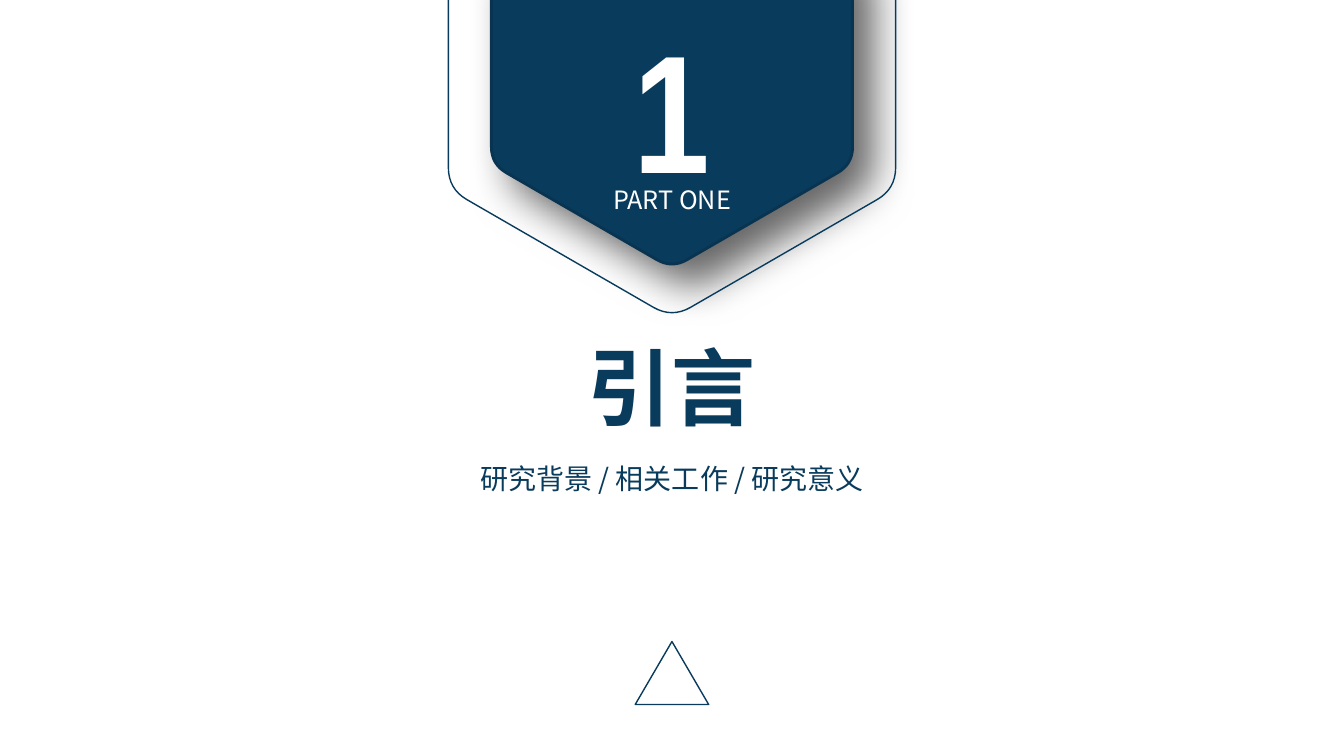
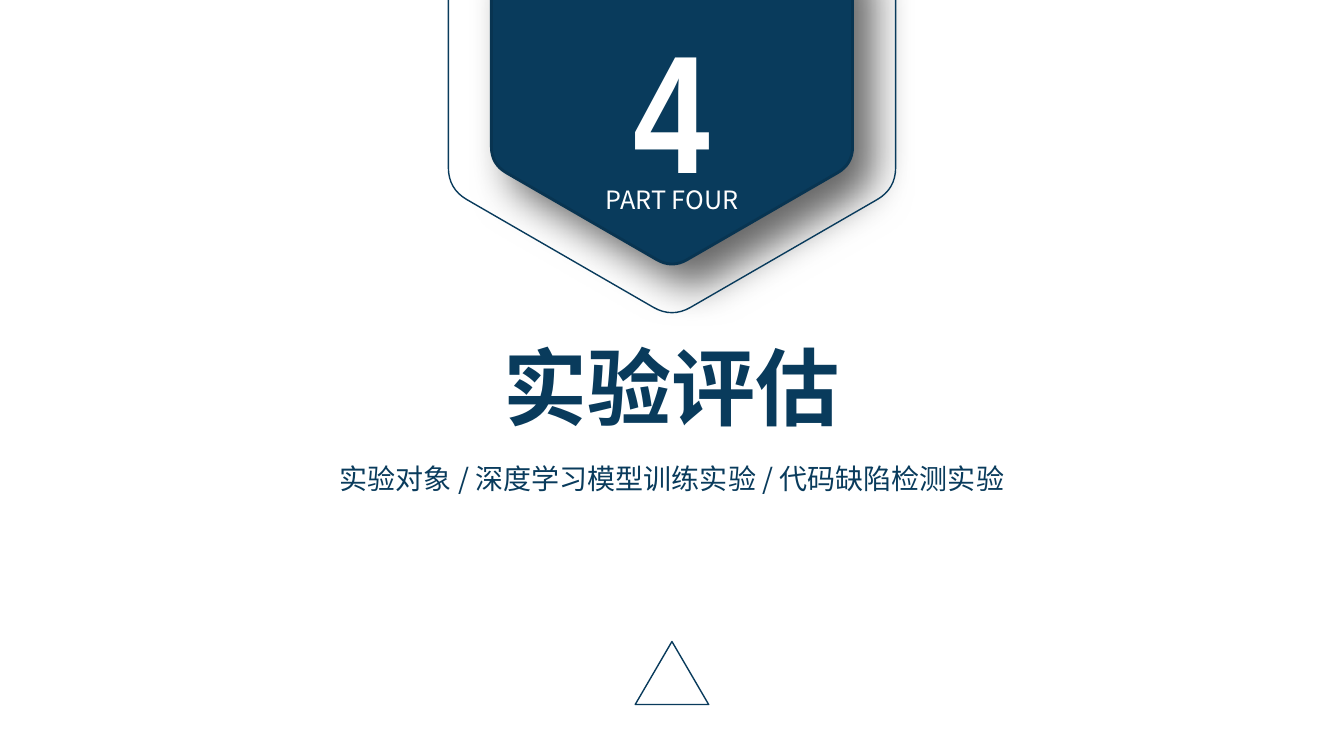
"""Build two chapter divider slides with a hexagon badge."""
import math

import lxml.etree
import pptx
import pptx.dml.color
import pptx.enum.shapes
import pptx.enum.text
import pptx.oxml.ns
import pptx.util

PX = 9525
WIDTH, HEIGHT = 1280, 720
CENTER = WIDTH // 2
NAVY, DARK_NAVY, WHITE = "093B5C", "083451", "FFFFFF"
SANS, NARROW = "Noto Sans CJK SC", "Arial Narrow"
BADGE_Y = 57
CHAPTERS = [
    ("1", "PART ONE", "引言", 362, "研究背景 / 相关工作 / 研究意义", 970),
    ("4", "PART FOUR", "实验评估", 838, "实验对象 / 深度学习模型训练实验 / 代码缺陷检测实验", 718),
]
BADGES = [(172, NAVY, DARK_NAVY, 2), (213, None, NAVY, 1)]


def color(hex_string):
    return pptx.dml.color.RGBColor.from_string(hex_string)


def write_centered(shape, text, top, width, height, size, font_name, hex_string, bold=False):
    shape.left, shape.top = (CENTER - width // 2) * PX, top * PX
    shape.width, shape.height = width * PX, height * PX
    frame = shape.text_frame
    frame.text = text
    frame.word_wrap = True
    frame.auto_size = pptx.enum.text.MSO_AUTO_SIZE.NONE
    frame.vertical_anchor = pptx.enum.text.MSO_ANCHOR.MIDDLE
    paragraph = frame.paragraphs[0]
    paragraph.alignment = pptx.enum.text.PP_ALIGN.CENTER
    run = paragraph.runs[0]
    run.font.size = pptx.util.Pt(size)
    run.font.bold = bold
    run.font.name = font_name
    run.font.color.rgb = color(hex_string)
    properties = run._r.get_or_add_rPr()
    lxml.etree.SubElement(properties, pptx.oxml.ns.qn("a:ea"), typeface=font_name)


presentation = pptx.Presentation()
presentation.slide_width, presentation.slide_height = WIDTH * PX, HEIGHT * PX
title_only = presentation.slide_layouts[5]

for number, part, title, title_width, topics, topics_width in CHAPTERS:
    slide = presentation.slides.add_slide(title_only)
    write_centered(slide.shapes.title, title, 314, title_width, 107, 60, SANS, NAVY, True)
    topics_box = slide.shapes.add_textbox(0, 0, 0, 0)
    write_centered(topics_box, topics, 435, topics_width, 42, 20, SANS, NAVY)

    for half_width, fill, line, line_width in BADGES:
        radius = half_width / math.cos(math.pi / 6)
        angles = [math.radians(60 * corner - 90) for corner in range(6)]
        corners = [(CENTER + radius * math.cos(angle), BADGE_Y + radius * math.sin(angle)) for angle in angles]
        points = []
        for index, corner in enumerate(corners):
            start, end = [
                [own + (other - own) / 12 for own, other in zip(corner, neighbor)]
                for neighbor in (corners[index - 1], corners[(index + 1) % 6])]
            middle = [(a + 2 * b + c) / 4 for a, b, c in zip(start, corner, end)]
            points += [(round(x * PX), round(y * PX)) for x, y in (start, middle, end)]
        builder = slide.shapes.build_freeform(*points[0])
        builder.add_line_segments(points[1:], close=True)
        badge = builder.convert_to_shape()

        outline = next(badge._element.iter(pptx.oxml.ns.qn("a:path")))
        nodes = list(outline.iter(pptx.oxml.ns.qn("a:pt")))
        for index in range(0, 18, 3):
            start, middle, end = [(int(node.get("x")), int(node.get("y"))) for node in nodes[index:index + 3]]
            corner = [2 * b - (a + c) / 2 for a, b, c in zip(start, middle, end)]
            curve = lxml.etree.Element(pptx.oxml.ns.qn("a:cubicBezTo"))
            controls = [[round((a + 2 * b) / 3) for a, b in zip(edge, corner)] for edge in (start, end)]
            for x, y in (*controls, end):
                lxml.etree.SubElement(curve, pptx.oxml.ns.qn("a:pt"), x=str(x), y=str(y))
            outline.replace(nodes[index + 1].getparent(), curve)
            outline.remove(nodes[index + 2].getparent())

        badge.shadow.inherit = False
        badge.line.color.rgb = color(line)
        badge.line.width = pptx.util.Pt(line_width)
        if fill is None:
            badge.fill.background()
        else:
            badge.fill.solid()
            badge.fill.fore_color.rgb = color(fill)
            effects = badge._element.spPr.find(pptx.oxml.ns.qn("a:effectLst"))
            shadow = lxml.etree.SubElement(
                effects, pptx.oxml.ns.qn("a:outerShdw"), blurRad=str(pptx.util.Pt(30)),
                dist=str(pptx.util.Pt(20)), dir="2700000", algn="tl", rotWithShape="0")
            shade = lxml.etree.SubElement(shadow, pptx.oxml.ns.qn("a:srgbClr"), val="000000")
            lxml.etree.SubElement(shade, pptx.oxml.ns.qn("a:alpha"), val="60000")

    number_box = slide.shapes.add_textbox(0, 0, 0, 0)
    write_centered(number_box, number, 0, 142, 203, 120, NARROW, WHITE, True)
    part_box = slide.shapes.add_textbox(0, 0, 0, 0)
    write_centered(part_box, part, 171, 194, 38, 18, SANS, WHITE)

    triangle = slide.shapes.add_shape(
        pptx.enum.shapes.MSO_SHAPE.ISOSCELES_TRIANGLE, 605 * PX, 611 * PX, 70 * PX, 60 * PX)
    triangle.shadow.inherit = False
    triangle.fill.background()
    triangle.line.color.rgb = color(NAVY)
    triangle.line.width = pptx.util.Pt(1)

presentation.save("out.pptx")
